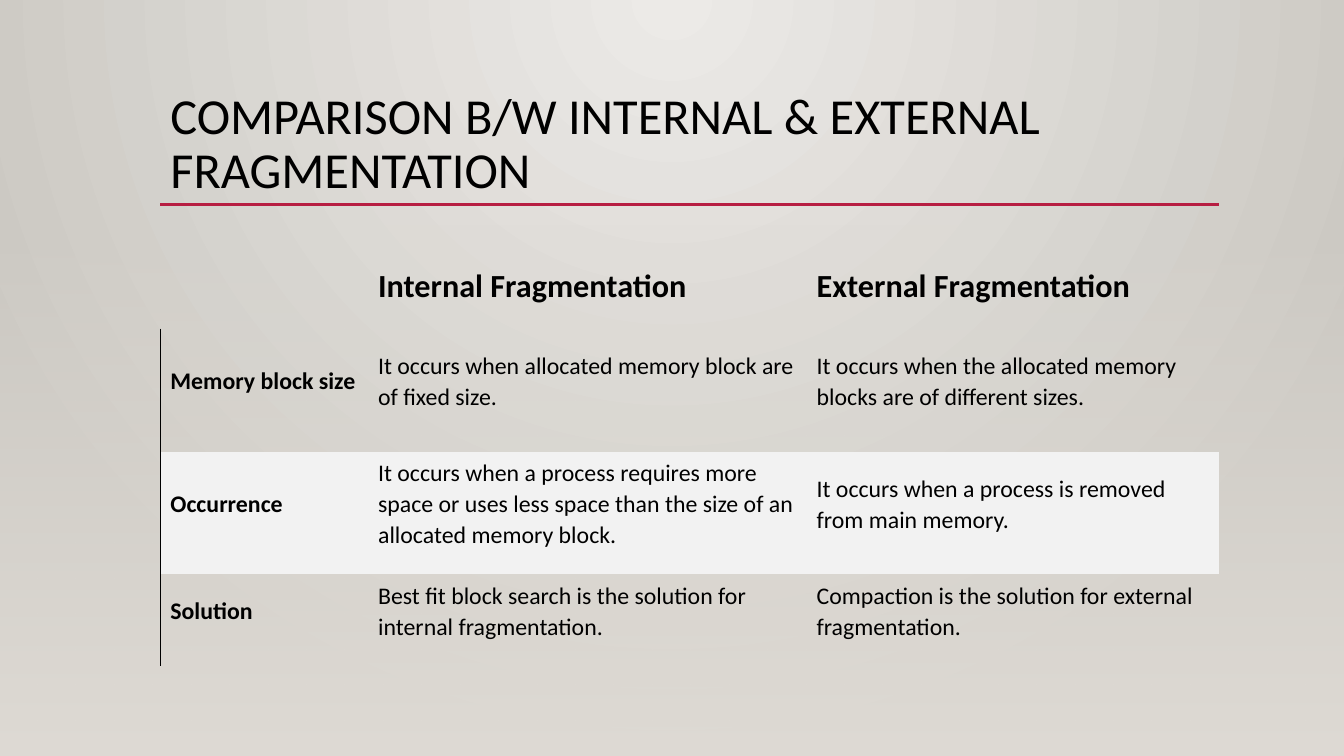
import pptx
import pptx.util
import pptx.dml.color
import pptx.enum.shapes
import pptx.enum.text
import pptx.oxml
import pptx.oxml.ns
from lxml import etree

Inches, Pt = pptx.util.Inches, pptx.util.Pt
RGBColor = pptx.dml.color.RGBColor
ANCHOR = pptx.enum.text.MSO_ANCHOR
qn = pptx.oxml.ns.qn

BLACK = RGBColor(0x00, 0x00, 0x00)
CRIMSON = RGBColor(0xB7, 0x1E, 0x42)
BAND = RGBColor(0xF2, 0xF2, 0xF2)
GLOW = RGBColor(0xEC, 0xEA, 0xE7)
EDGE = RGBColor(0xCA, 0xC7, 0xC1)
FLOOR = RGBColor(0xDF, 0xDB, 0xD5)

FONT = "Calibri"
NO_STYLE = "{2D5ABB26-0587-4C30-8999-92F81FD0307C}"
WIDTH, HEIGHT = 13.33, 7.5
LEFT, CONTENT_WIDTH = 1.59, 10.5
COLUMNS = [2.06, 4.35, 4.09]
ROWS = [0.7, 1.22, 1.22, 0.91]
COMPARISON = [
    ["", "Internal Fragmentation", "External Fragmentation"],
    ["Memory block size",
     "It occurs when allocated memory block are of fixed size.",
     "It occurs when the allocated memory blocks are of different sizes."],
    ["Occurrence",
     "It occurs when a process requires more space or uses less space "
     "than the size of an allocated memory block.",
     "It occurs when a process is removed from main memory."],
    ["Solution",
     "Best fit block search is the solution for internal fragmentation.",
     "Compaction is the solution for external fragmentation."],
]


def set_gradient(fill, start, end):
    fill.gradient()
    for stop, color in zip(fill.gradient_stops, (start, end)):
        stop.color.rgb = color


def set_glow(fill, element):
    """Radial gradient spreading from the top centre of the element."""
    set_gradient(fill, GLOW, EDGE)
    grad = element.find(".//" + qn("a:gradFill"))
    grad.remove(grad.find(qn("a:lin")))
    radial = etree.SubElement(grad, qn("a:path"), path="circle")
    etree.SubElement(radial, qn("a:fillToRect"),
                     l="43000", t="0", r="43000", b="100000")


def add_panel(s, x, y, w, h):
    sp = s.shapes.add_shape(pptx.enum.shapes.MSO_SHAPE.RECTANGLE,
                            Inches(x), Inches(y), Inches(w), Inches(h))
    sp.shadow.inherit = False
    sp.line.fill.background()
    return sp


def add_backdrop(s, x, y, w, h):
    set_glow(s.background.fill, s.background._cSld)
    glow = add_panel(s, x, y, w, h)
    set_glow(glow.fill, glow._element)
    s.shapes._spTree.insert(2, glow._element)

    top = 2.21
    fade = add_panel(s, x, y + top, w, h - top)
    set_gradient(fade.fill, FLOOR, FLOOR)
    fade.fill.gradient_angle = 270
    first_color = fade._element.find(".//" + qn("a:gs"))[0]
    etree.SubElement(first_color, qn("a:alpha"), val="0")


def add_title(s, x, y, w, h):
    """Title placeholder with a rule along its lower edge."""
    title = s.shapes.title
    title.left, title.top = Inches(x), Inches(y)
    title.width, title.height = Inches(w), Inches(h)
    tf = title.text_frame
    tf.text = "COMPARISON B/W INTERNAL & EXTERNAL FRAGMENTATION"
    tf.word_wrap = True
    tf.auto_size = pptx.enum.text.MSO_AUTO_SIZE.NONE
    tf.vertical_anchor = ANCHOR.BOTTOM
    p = tf.paragraphs[0]
    p.alignment = pptx.enum.text.PP_ALIGN.LEFT
    p.line_spacing = 0.9
    format_font(p.runs[0].font, 36, False)

    rule = s.shapes.add_connector(
        pptx.enum.shapes.MSO_CONNECTOR.STRAIGHT,
        Inches(x), Inches(y + h), Inches(x + w), Inches(y + h))
    rule.line.color.rgb = CRIMSON
    rule.line.width = Pt(2.5)
    etree.SubElement(rule._element.spPr, qn("a:effectLst"))


def format_font(font, size, bold):
    font.name = FONT
    font.size = Pt(size)
    font.bold = bold
    font.color.rgb = BLACK


def add_left_border(cell):
    tc_pr = cell._tc.get_or_add_tcPr()
    border = pptx.oxml.parse_xml(
        f'<a:lnL {pptx.oxml.ns.nsdecls("a")} w="{Pt(0.75)}">'
        f'<a:solidFill><a:srgbClr val="{BLACK}"/></a:solidFill></a:lnL>')
    tc_pr.insert(0, border)


def fill_cell(cell, text, row, column):
    cell.margin_left, cell.margin_top = Inches(0.1), Inches(0.03)
    cell.margin_right, cell.margin_bottom = Inches(0.12), Inches(0.22)
    cell.vertical_anchor = ANCHOR.MIDDLE if row else ANCHOR.BOTTOM
    if row == 2:
        cell.fill.solid()
        cell.fill.fore_color.rgb = BAND
    else:
        cell.fill.background()
    if row and column == 0:
        add_left_border(cell)
    if text:
        cell.text = text
        p = cell.text_frame.paragraphs[0]
        p.line_spacing = 1.07
        p.space_after = Pt(15.8)
        format_font(p.runs[0].font, 17 if row else 23,
                    row == 0 or column == 0)


def add_comparison(s, x, y, w, h):
    frame = s.shapes.add_table(len(ROWS), len(COLUMNS), Inches(x), Inches(y),
                               Inches(w), Inches(h))
    table = frame.table
    table.first_row = table.horz_banding = False
    table._tbl.tblPr.find(qn("a:tableStyleId")).text = NO_STYLE
    for column, width in zip(table.columns, COLUMNS):
        column.width = Inches(width)
    for row, height in zip(table.rows, ROWS):
        row.height = Inches(height)
    for i, texts in enumerate(COMPARISON):
        for j, text in enumerate(texts):
            fill_cell(table.cell(i, j), text, i, j)


def main():
    prs = pptx.Presentation()
    prs.slide_width, prs.slide_height = Inches(WIDTH), Inches(HEIGHT)
    s = prs.slides.add_slide(prs.slide_layouts[5])
    add_backdrop(s, 0, 0, WIDTH, HEIGHT)
    add_title(s, LEFT, 0.88, CONTENT_WIDTH, 1.15)
    add_comparison(s, LEFT, 2.56, CONTENT_WIDTH, sum(ROWS))
    prs.save("out.pptx")


if __name__ == "__main__":
    main()
